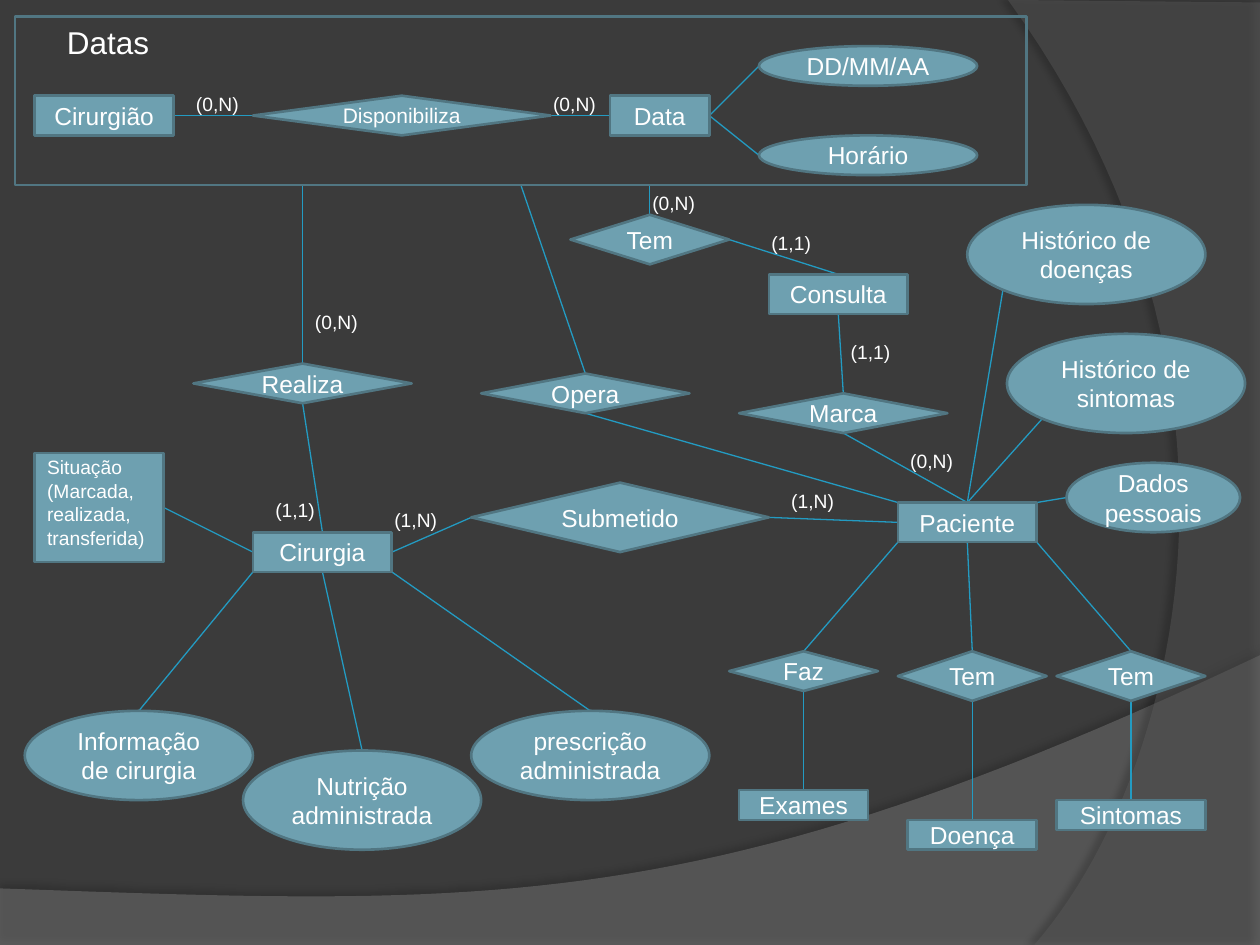
import pptx
import pptx.util
import pptx.dml.color
import pptx.enum.shapes
import pptx.enum.text
import pptx.oxml
import pptx.oxml.ns
from pptx.util import Cm, Pt

THEME = {
    "font": "Arial", "back": "3B3B3B", "fill": "6EA0B0", "outline": "517682",
    "link": "239BC2", "text": "FFFFFF", "shadow": "000000",
    "heading": 18, "body": 14, "small": 12, "label": 11,
    "border": 1.5, "link_width": 0.75, "label_leading": 13.4,
}

KINDS = {
    "entity": pptx.enum.shapes.MSO_SHAPE.RECTANGLE,
    "relation": pptx.enum.shapes.MSO_SHAPE.DIAMOND,
    "attribute": pptx.enum.shapes.MSO_SHAPE.OVAL,
}

FRAME = (0.3, 0.33, 20.4, 3.4)

NODES = {
    "info": ("attribute", "Informação de cirurgia", (0.5, 14.33, 4.6, 1.8)),
    "nutricao": ("attribute", "Nutrição administrada", (4.9, 15.13, 4.8, 2)),
    "prescricao": ("attribute", "prescrição administrada", (9.5, 14.33, 4.8, 1.8)),
    "exames": ("entity", "Exames", (14.9, 15.93, 2.6, 0.6)),
    "doenca": ("entity", "Doença", (18.3, 16.53, 2.6, 0.6)),
    "sintomas": ("entity", "Sintomas", (21.3, 16.13, 3, 0.6)),
    "faz": ("relation", "Faz", (14.7, 13.13, 3, 0.8)),
    "tem_doenca": ("relation", "Tem", (18.1, 13.13, 3, 1)),
    "tem_sintomas": ("relation", "Tem", (21.3, 13.13, 3, 1)),
    "paciente": ("entity", "Paciente", (18.1, 10.13, 2.8, 0.8)),
    "cirurgia": ("entity", "Cirurgia", (5.1, 10.73, 2.8, 0.8)),
    "submetido": ("relation", "Submetido", (9.5, 9.73, 6, 1.4)),
    "dados": ("attribute", "Dados pessoais", (21.5, 9.33, 3.5, 1.4)),
    "hist_sintomas": ("attribute", "Histórico de sintomas", (20.3, 6.73, 4.8, 2)),
    "hist_doencas": ("attribute", "Histórico de doenças", (19.5, 4.13, 4.8, 2)),
    "marca": ("relation", "Marca", (14.9, 7.93, 4.2, 0.8)),
    "consulta": ("entity", "Consulta", (15.5, 5.53, 2.8, 0.8)),
    "tem_consulta": ("relation", "Tem", (11.5, 4.33, 3.2, 1)),
    "opera": ("relation", "Opera", (9.7, 7.53, 4.2, 0.8)),
    "realiza": ("relation", "Realiza", (3.9, 7.33, 4.4, 0.8)),
    "cirurgiao": ("entity", "Cirurgião", (0.7, 1.93, 2.8, 0.8)),
    "data": ("entity", "Data", (12.3, 1.93, 2, 0.8)),
    "disponibiliza": ("relation", "Disponibiliza", (5.1, 1.93, 6, 0.8)),
    "dia": ("attribute", "DD/MM/AA", (15.3, 0.93, 4.4, 0.8)),
    "horario": ("attribute", "Horário", (15.3, 2.73, 4.4, 0.8)),
}

SITUATION = (0.7, 9.13, 2.6, 2.2)
SITUATION_LINES = ["Situação", "(Marcada,", "realizada,", "transferida)"]

SITES = {
    "top": (0.5, 0), "bottom": (0.5, 1), "left": (0, 0.5), "right": (1, 0.5),
    "top left": (0, 0), "top right": (1, 0),
    "bottom left": (0, 1), "bottom right": (1, 1), "oval corner": (0.15, 0.85),
}

LINKS = [
    ("sintomas", "top", "tem_sintomas", "bottom"),
    ("doenca", "top", "tem_doenca", "bottom"),
    ("exames", "top", "faz", "bottom"),
    ("faz", "top", "paciente", "bottom left"),
    ("tem_sintomas", "top", "paciente", "bottom right"),
    ("tem_doenca", "top", "paciente", "bottom"),
    ("info", "top", "cirurgia", "bottom left"),
    ("nutricao", "top", "cirurgia", "bottom"),
    ("prescricao", "top", "cirurgia", "bottom right"),
    ("cirurgia", "right", "submetido", "left"),
    ("paciente", "left", "submetido", "right"),
    ("paciente", "top", "hist_doencas", "oval corner"),
    ("paciente", "top", "hist_sintomas", "oval corner"),
    ("paciente", "top right", "dados", "left"),
    ("paciente", "top", "marca", "bottom"),
    ("marca", "top", "consulta", "bottom"),
    ("consulta", "top", "tem_consulta", "right"),
    ("paciente", "top left", "opera", "bottom"),
    ("cirurgia", "top", "realiza", "bottom"),
    ("cirurgiao", "right", "disponibiliza", "left"),
    ("disponibiliza", "right", "data", "left"),
    ("data", "right", "dia", "left"),
    ("data", "right", "horario", "left"),
    ("opera", "top", "frame", "bottom"),
    ("cirurgia", "left", "situation", "right"),
]
FRAME_DROPS = ["realiza", "tem_consulta"]

LABELS = [
    ("(1,1)", 5.3, 9.93), ("(1,N)", 7.7, 10.13), ("(1,1)", 15.3, 4.53),
    ("(1,1)", 16.9, 6.73), ("(1,N)", 15.7, 9.73), ("(0,N)", 18.1, 8.93),
    ("(0,N)", 6.1, 6.13), ("(0,N)", 12.9, 3.73), ("(0,N)", 3.7, 1.73),
    ("(0,N)", 10.9, 1.73),
]

WAVES = [
    {"curve": [(25.4, 13.21), (14.2, 18.52), (9.93, 18.26), (0, 17.91)],
     "corners": [(0, 19.05), (25.4, 19.05)],
     "fill": "7F7F7F", "alpha": 45, "shadow": (35, 4, 3.5, 270)},
    {"curve": [(20.85, 19.05), (23.75, 15.72), (25.86, 7.62), (20.32, 0)],
     "corners": [(25.4, 0.05), (25.4, 19.05)],
     "fill": "5E5E5E", "alpha": 40, "shadow": (45, 4, 4, 180)},
]


def rgb(value):
    return pptx.dml.color.RGBColor.from_string(value)


def bezier(a, b, c, d, steps=48):
    for i in range(steps + 1):
        t = i / steps
        u = 1 - t
        yield tuple(u**3 * p0 + 3 * u * u * t * p1 + 3 * u * t * t * p2 + t**3 * p3
                    for p0, p1, p2, p3 in zip(a, b, c, d))


def child(parent, tag, **attrs):
    el = pptx.oxml.parse_xml("<a:%s %s/>" % (tag, pptx.oxml.ns.nsdecls("a")))
    for key, value in attrs.items():
        el.set(key, str(value))
    parent.append(el)
    return el


def add_wave(s, wave):
    points = [(Cm(x), Cm(y)) for x, y in [*bezier(*wave["curve"]), *wave["corners"]]]
    builder = s.shapes.build_freeform(*points[0])
    builder.add_line_segments(points[1:], close=True)
    sp = builder.convert_to_shape()
    sp.fill.solid()
    sp.fill.fore_color.rgb = rgb(wave["fill"])
    sp.line.fill.background()
    sp.shadow.inherit = False
    props = sp._element.spPr
    color = props.find(pptx.oxml.ns.qn("a:solidFill"))[0]
    child(color, "alpha", val=wave["alpha"] * 1000)
    alpha, blur, dist, angle = wave["shadow"]
    shade = child(props.find(pptx.oxml.ns.qn("a:effectLst")), "outerShdw", blurRad=Pt(blur),
                  dist=Pt(dist), dir=angle * 60000, algn="ctr", rotWithShape=0)
    child(child(shade, "srgbClr", val=THEME["shadow"]), "alpha", val=alpha * 1000)


def add_run(p, text, size):
    r = p.add_run()
    r.text = text
    r.font.name = THEME["font"]
    r.font.size = Pt(size)
    r.font.color.rgb = rgb(THEME["text"])


def add_box(s, kind, box, filled=True):
    sp = s.shapes.add_shape(KINDS[kind], *map(Cm, box))
    sp.shadow.inherit = False
    if filled:
        sp.fill.solid()
        sp.fill.fore_color.rgb = rgb(THEME["fill"])
    else:
        sp.fill.background()
    sp.line.color.rgb = rgb(THEME["outline"])
    sp.line.width = Pt(THEME["border"])
    return sp


def add_node(s, kind, text, box):
    tf = add_box(s, kind, box).text_frame
    tf.word_wrap = True
    tf.vertical_anchor = pptx.enum.text.MSO_ANCHOR.MIDDLE
    p = tf.paragraphs[0]
    p.alignment = pptx.enum.text.PP_ALIGN.CENTER
    add_run(p, text, THEME["small" if text == "Disponibiliza" else "body"])


def add_situation(s):
    tf = add_box(s, "entity", SITUATION).text_frame
    tf.word_wrap = True
    tf.vertical_anchor = pptx.enum.text.MSO_ANCHOR.TOP
    tf.margin_top = Cm(0.05)
    for i, line in enumerate(SITUATION_LINES):
        p = tf.add_paragraph() if i else tf.paragraphs[0]
        p.alignment = pptx.enum.text.PP_ALIGN.LEFT
        p.line_spacing = Pt(THEME["label_leading"])
        add_run(p, line, THEME["label"])


def add_label(s, text, box, size):
    tf = s.shapes.add_textbox(*map(Cm, box)).text_frame
    tf.word_wrap = False
    tf.auto_size = pptx.enum.text.MSO_AUTO_SIZE.SHAPE_TO_FIT_TEXT
    add_run(tf.paragraphs[0], text, size)


def site(box, name):
    x, y, w, h = box
    fx, fy = SITES[name]
    return x + w * fx, y + h * fy


def add_link(s, start, end):
    line = s.shapes.add_connector(pptx.enum.shapes.MSO_CONNECTOR.STRAIGHT,
                                  *map(Cm, (*start, *end)))
    line.line.color.rgb = rgb(THEME["link"])
    line.line.width = Pt(THEME["link_width"])
    child(line._element.spPr, "effectLst")


def main():
    prs = pptx.Presentation()
    prs.slide_width, prs.slide_height = Cm(25.4), Cm(19.05)
    s = prs.slides.add_slide(prs.slide_layouts[6])
    s.background.fill.solid()
    s.background.fill.fore_color.rgb = rgb(THEME["back"])
    for wave in WAVES:
        add_wave(s, wave)
    boxes = {key: box for key, (kind, text, box) in NODES.items()}
    boxes.update(frame=FRAME, situation=SITUATION)
    for a, a_site, b, b_site in LINKS:
        add_link(s, site(boxes[a], a_site), site(boxes[b], b_site))
    for key in FRAME_DROPS:
        x, y = site(boxes[key], "top")
        add_link(s, (x, y), (x, FRAME[1] + FRAME[3]))
    add_box(s, "entity", FRAME, filled=False)
    for node in NODES.values():
        add_node(s, *node)
    add_situation(s)
    for text, x, y in LABELS:
        add_label(s, text, (x, y, 1.37, 0.73), THEME["label"])
    add_label(s, "Datas", (1.1, 0.33, 2.18, 1.02), THEME["heading"])
    prs.save("out.pptx")


if __name__ == "__main__":
    main()
